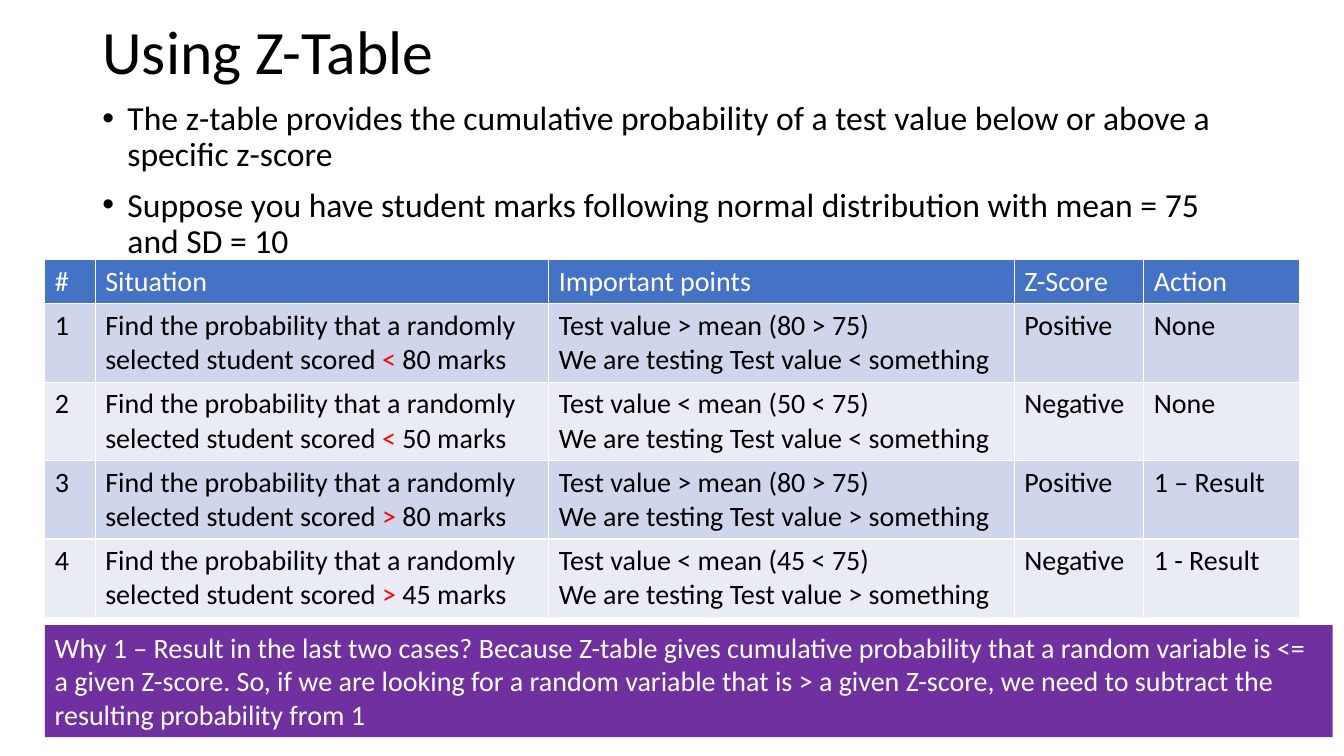
"""Build a slide that explains how to use a z-table."""
import dataclasses

import lxml.etree
import pptx
import pptx.dml.color
import pptx.enum.shapes
import pptx.enum.text
import pptx.oxml.ns
import pptx.util


@dataclasses.dataclass(frozen=True)
class Theme:
    font: str = "Calibri"
    title_size: int = 44
    bullet_size: int = 24
    detail_size: int = 20
    ink: str = "000000"
    light: str = "FFFFFF"
    mark: str = "FF0000"
    header: str = "4472C4"
    bands: tuple = ("CFD5EA", "E9EBF5")
    note: str = "7030A0"


def points(*lengths):
    return [pptx.util.Pt(length) for length in lengths]


def paint(fill, colour):
    fill.solid()
    fill.fore_color.rgb = pptx.dml.color.RGBColor.from_string(colour)


class SlideBuilder:
    def __init__(self, deck, theme):
        self.theme = theme
        self.slide = deck.slides.add_slide(deck.slide_layouts[5])

    def style(self, span, size, colour):
        span.font.name = self.theme.font
        span.font.size = pptx.util.Pt(size)
        span.font.bold = False
        span.font.color.rgb = pptx.dml.color.RGBColor.from_string(colour)

    def set_text(self, frame, text, size, colour):
        frame.text = text
        frame.word_wrap = True
        for para in frame.paragraphs:
            para.alignment = pptx.enum.text.PP_ALIGN.LEFT
            for span in para.runs:
                self.style(span, size, colour)

    def title(self, text, place):
        box = self.slide.shapes.title
        box.left, box.top, box.width, box.height = points(*place)
        frame = box.text_frame
        self.set_text(frame, text, self.theme.title_size, self.theme.ink)
        frame.auto_size = pptx.enum.text.MSO_AUTO_SIZE.NONE
        frame.vertical_anchor = pptx.enum.text.MSO_ANCHOR.MIDDLE
        frame.paragraphs[0].line_spacing = 0.9

    def bullets(self, lines, place):
        frame = self.slide.shapes.add_textbox(*points(*place)).text_frame
        self.set_text(frame, "\n".join(lines), self.theme.bullet_size, self.theme.ink)
        for para in frame.paragraphs:
            para.line_spacing = 0.9
            para.space_before = pptx.util.Pt(10)
            properties = para._p.get_or_add_pPr()
            properties.set("marL", str(pptx.util.Pt(18)))
            properties.set("indent", str(pptx.util.Pt(-18)))
            for tag, name, value in (("a:buFont", "typeface", "Arial"), ("a:buChar", "char", "•")):
                bullet = lxml.etree.SubElement(properties, pptx.oxml.ns.qn(tag))
                bullet.set(name, value)

    def table(self, rows, left, top, widths, heights):
        place = points(left, top, sum(widths), sum(heights))
        table = self.slide.shapes.add_table(len(rows), len(widths), *place).table
        for column, width in zip(table.columns, widths):
            column.width = pptx.util.Pt(width)
        for row, height in zip(table.rows, heights):
            row.height = pptx.util.Pt(height)
        for index, texts in enumerate(rows):
            band = self.theme.bands[(index - 1) % 2] if index else self.theme.header
            colour = self.theme.ink if index else self.theme.light
            for cell, text in zip(table.rows[index].cells, texts):
                paint(cell.fill, band)
                self.set_text(cell.text_frame, text, self.theme.detail_size, colour)
        return table

    def highlight(self, cell, sign):
        para = cell.text_frame.paragraphs[0]
        before, after = para.text.split(sign)
        para.text = before
        for text in (sign, after):
            para.add_run().text = text
        for span in para.runs:
            colour = self.theme.mark if span.text == sign else self.theme.ink
            self.style(span, self.theme.detail_size, colour)

    def note(self, text, place):
        kind = pptx.enum.shapes.MSO_SHAPE.RECTANGLE
        box = self.slide.shapes.add_shape(kind, *points(*place))
        box.shadow.inherit = False
        paint(box.fill, self.theme.note)
        box.line.fill.background()
        frame = box.text_frame
        self.set_text(frame, text, self.theme.detail_size, self.theme.light)
        frame.vertical_anchor = pptx.enum.text.MSO_ANCHOR.TOP
        frame.auto_size = pptx.enum.text.MSO_AUTO_SIZE.SHAPE_TO_FIT_TEXT


def main():
    deck = pptx.Presentation()
    deck.slide_width, deck.slide_height = points(960, 540)
    builder = SlideBuilder(deck, Theme())
    builder.title("Using Z-Table", (66, 9.5, 828, 59))
    builder.bullets(
        (
            "The z-table provides the cumulative probability of a test value below or above a specific z-score",
            "Suppose you have student marks following normal distribution with mean = 75 and SD = 10",
        ),
        (66, 69, 828, 418),
    )
    cases = (
        ("<", 80, "None"),
        ("<", 50, "None"),
        (">", 80, "1 – Result"),
        (">", 45, "1 - Result"),
    )
    mean = 75
    rows = [("#", "Situation", "Important points", "Z-Score", "Action")]
    for number, (sign, value, action) in enumerate(cases, 1):
        side, score = (">", "Positive") if value > mean else ("<", "Negative")
        rows.append((
            str(number),
            f"Find the probability that a randomly selected student scored {sign} {value} marks",
            f"Test value {side} mean ({value} {side} {mean})\nWe are testing Test value {sign} something",
            score,
            action,
        ))
    heights = [31.5] + [56] * len(cases)
    table = builder.table(rows, 32, 185.5, (36, 324, 332.5, 92.5, 111.5), heights)
    for index, (sign, value, action) in enumerate(cases, 1):
        builder.highlight(table.cell(index, 1), sign)
    builder.note(
        "Why 1 – Result in the last two cases? Because Z-table gives cumulative probability "
        "that a random variable is <= a given Z-score. So, if we are looking for a random "
        "variable that is > a given Z-score, we need to subtract the resulting probability from 1",
        (32, 446.5, 920, 80),
    )
    deck.save("out.pptx")


if __name__ == "__main__":
    main()
